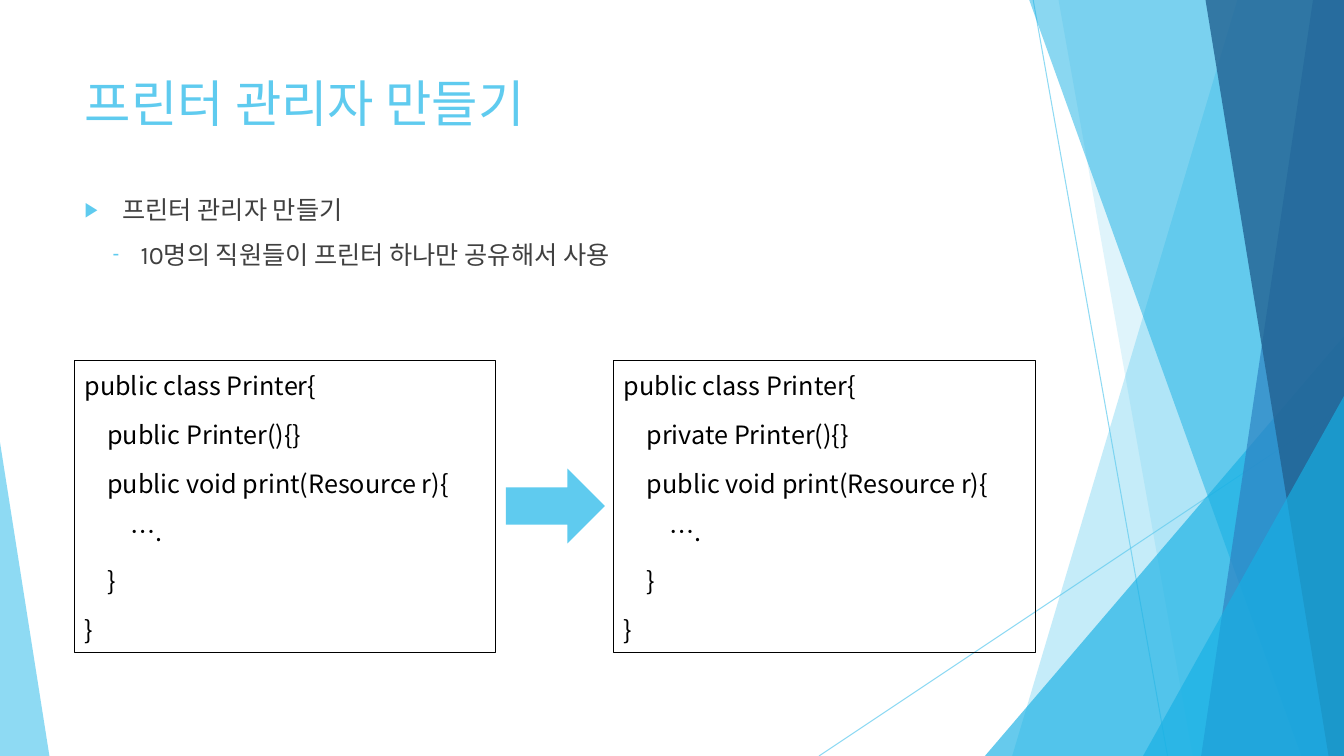
from dataclasses import dataclass

from lxml.etree import SubElement
from pptx import Presentation
from pptx.dml.color import RGBColor
from pptx.enum.shapes import MSO_CONNECTOR, MSO_SHAPE
from pptx.enum.text import MSO_ANCHOR, MSO_AUTO_SIZE, PP_ALIGN
from pptx.oxml.ns import qn
from pptx.shapes.autoshape import Shape
from pptx.shapes.base import BaseShape
from pptx.slide import Slide
from pptx.text.text import Font
from pptx.util import Pt

WIDTH, HEIGHT = 960, 540
TOP = -0.6
SKY, CYAN, BLUE, NAVY = "5FCBEF", "17B0E4", "2E83C3", "226292"
INDENT = 16.3


@dataclass
class Band:
    """A shape that fills the slide from a slanted left edge to the right side."""
    top_x: float
    bottom_x: float
    color: str
    opacity: int


@dataclass
class Wedge:
    """A right triangle that stands on the bottom of the slide."""
    left: float
    top: float
    width: float
    apex: float
    color: str
    opacity: int


@dataclass
class Ray:
    start: tuple[float, float]
    end: tuple[float, float]


@dataclass
class Bullet:
    text: str
    level: int
    mark: str
    margin: float
    hanging: float


BACKDROP = [
    Ray((738, 0), (834, HEIGHT)),
    Ray((WIDTH, 290), (585, HEIGHT)),
    Band(884, 723, SKY, 36),
    Band(756, 852, SKY, 20),
    Wedge(703.5, 240, 256.5, 1, CYAN, 66),
    Band(735, 929.5, CYAN, 50),
    Band(938, 858, BLUE, 70),
    Band(861, 949, NAVY, 80),
    Wedge(816.5, 283, 143.5, 1, CYAN, 66),
    Wedge(0, 316, 35.3, 0, SKY, 70),
]

BULLETS = [
    Bullet("프린터 관리자 만들기", 0, "▶", 27, 27),
    Bullet("10명의 직원들이 프린터 하나만 공유해서 사용", 1, "-", 40, 20),
]


def rgb(color: str) -> RGBColor:
    return RGBColor.from_string(color)


def set_opacity(shape: BaseShape, percent: int) -> None:
    for color in shape._element.spPr.iter(qn("a:srgbClr")):
        SubElement(color, qn("a:alpha"), val=str(percent * 1000))


def paint(shape: Shape, color: str, opacity: int = 100) -> None:
    shape.shadow.inherit = False
    shape.fill.solid()
    shape.fill.fore_color.rgb = rgb(color)
    shape.line.fill.background()
    if opacity < 100:
        set_opacity(shape, opacity)


def style_font(font: Font, name: str, size: float, color: str) -> None:
    font.name = name
    font.size = Pt(size)
    font.color.rgb = rgb(color)


def place(shape: BaseShape, left: float, top: float, width: float, height: float) -> None:
    shape.left, shape.top, shape.width, shape.height = map(Pt, (left, top, width, height))


def draw_ray(page: Slide, ray: Ray) -> None:
    line = page.shapes.add_connector(
        MSO_CONNECTOR.STRAIGHT, *map(Pt, ray.start + ray.end))
    line.line.color.rgb = rgb(SKY)
    line.line.width = Pt(0.75)
    set_opacity(line, 70)
    SubElement(line._element.spPr, qn("a:effectLst"))


def draw_band(page: Slide, band: Band) -> None:
    outline = page.shapes.build_freeform(Pt(band.top_x), Pt(TOP))
    corners = [(WIDTH, TOP), (WIDTH, HEIGHT), (band.bottom_x, HEIGHT)]
    outline.add_line_segments([(Pt(x), Pt(y)) for x, y in corners], close=True)
    paint(outline.convert_to_shape(), band.color, band.opacity)


def draw_wedge(page: Slide, wedge: Wedge) -> None:
    triangle = page.shapes.add_shape(
        MSO_SHAPE.ISOSCELES_TRIANGLE, Pt(wedge.left), Pt(wedge.top),
        Pt(wedge.width), Pt(HEIGHT - wedge.top))
    triangle.adjustments[0] = wedge.apex
    paint(triangle, wedge.color, wedge.opacity)


def draw_backdrop(page: Slide) -> None:
    painters = {Ray: draw_ray, Band: draw_band, Wedge: draw_wedge}
    for part in BACKDROP:
        painters[type(part)](page, part)


def fill_title(title: Shape) -> None:
    place(title, 53.3, 48.2, 677, 104)
    frame = title.text_frame
    frame.text = "프린터 관리자 만들기"
    frame.vertical_anchor = MSO_ANCHOR.TOP
    frame.auto_size = MSO_AUTO_SIZE.NONE
    para = frame.paragraphs[0]
    para.alignment = PP_ALIGN.LEFT
    style_font(para.font, "Karla", 36, SKY)


def fill_body(body: Shape) -> None:
    place(body, 53.3, 135.4, 677, 69)
    frame = body.text_frame
    frame.auto_size = MSO_AUTO_SIZE.NONE
    frame.text = "\n".join(bullet.text for bullet in BULLETS)
    for para, bullet in zip(frame.paragraphs, BULLETS):
        para.level = bullet.level
        para.space_before = Pt(10)
        properties = para._p.get_or_add_pPr()
        properties.set("marL", str(Pt(bullet.margin)))
        properties.set("indent", str(-Pt(bullet.hanging)))
        mark_color = SubElement(properties, qn("a:buClr"))
        SubElement(mark_color, qn("a:srgbClr"), val=SKY)
        SubElement(properties, qn("a:buSzPct"), val="80000")
        SubElement(properties, qn("a:buChar"), char=bullet.mark)
        style_font(para.font, "Karla", 18, "404040")


def add_code_box(page: Slide, left: float, access: str) -> None:
    """Add the Printer class with the given access to its constructor."""
    lines = [
        (0, "public class Printer{"),
        (1, f"{access} Printer(){{}}"),
        (1, "public void print(Resource r){"),
        (2, "…."),
        (1, "}"),
        (0, "}"),
    ]
    box = page.shapes.add_textbox(Pt(left), Pt(257.8), Pt(301), Pt(208))
    box.line.color.rgb = rgb("000000")
    box.line.width = Pt(0.75)
    frame = box.text_frame
    frame.word_wrap = True
    frame.auto_size = MSO_AUTO_SIZE.SHAPE_TO_FIT_TEXT
    frame.text = "\n".join(text for _, text in lines)
    for para, (depth, _) in zip(frame.paragraphs, lines):
        para.alignment = PP_ALIGN.JUSTIFY
        para.line_spacing = 1.15
        para.space_after = Pt(10)
        para._p.get_or_add_pPr().set("marL", str(Pt(depth * INDENT)))
        style_font(para.font, "Noto Sans CJK KR", 18, "000000")


def main() -> None:
    deck = Presentation()
    deck.slide_width, deck.slide_height = Pt(WIDTH), Pt(HEIGHT)
    page = deck.slides.add_slide(deck.slide_layouts[1])
    title, body = page.placeholders
    draw_backdrop(page)
    for placeholder in (title, body):
        page.shapes._spTree.append(placeholder._element)
    fill_title(title)
    fill_body(body)
    add_code_box(page, 53.3, "public")
    add_code_box(page, 438.5, "private")
    arrow = page.shapes.add_shape(
        MSO_SHAPE.RIGHT_ARROW, Pt(361.4), Pt(334.8), Pt(70.6), Pt(53.3))
    paint(arrow, SKY)
    deck.save("out.pptx")


if __name__ == "__main__":
    main()
